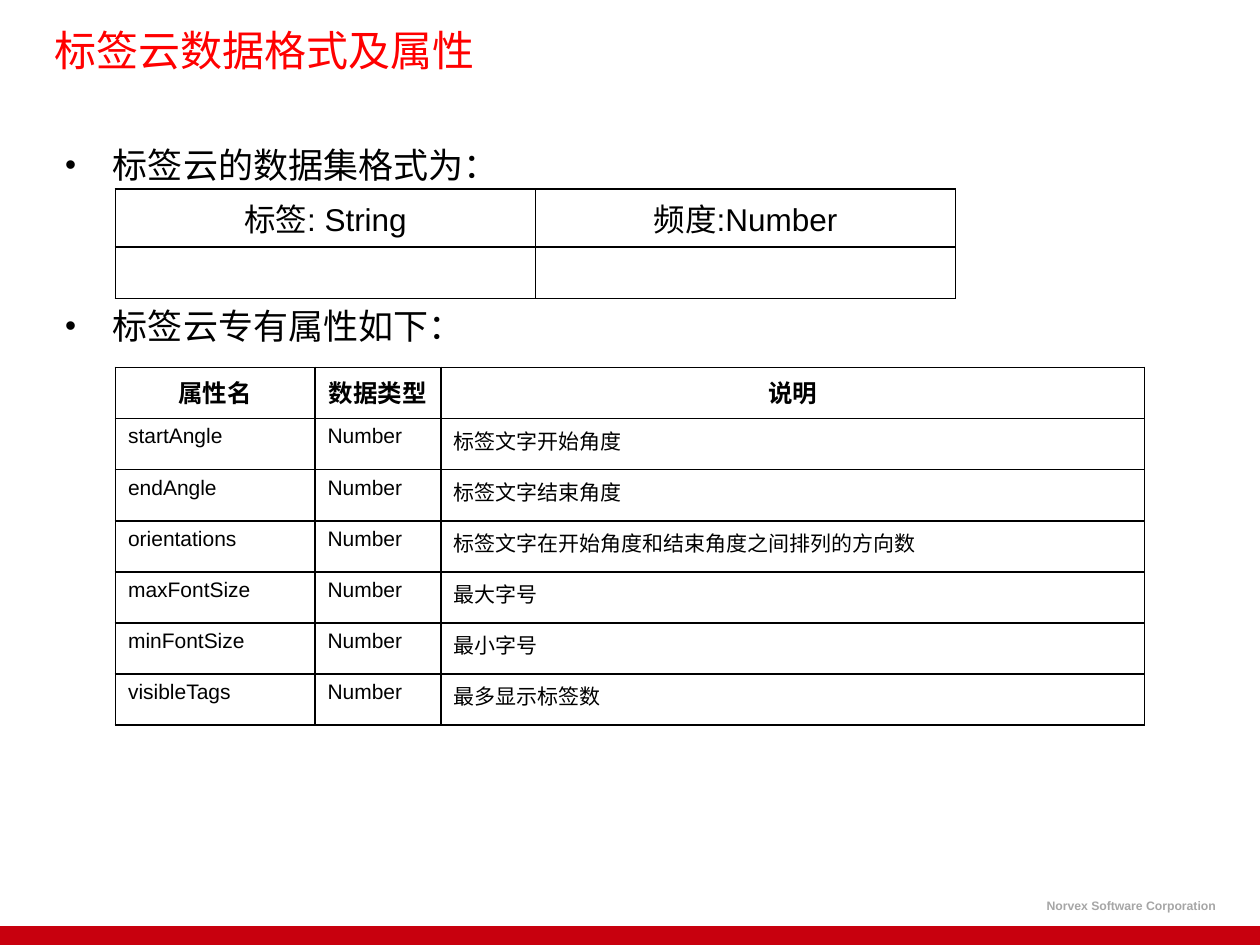
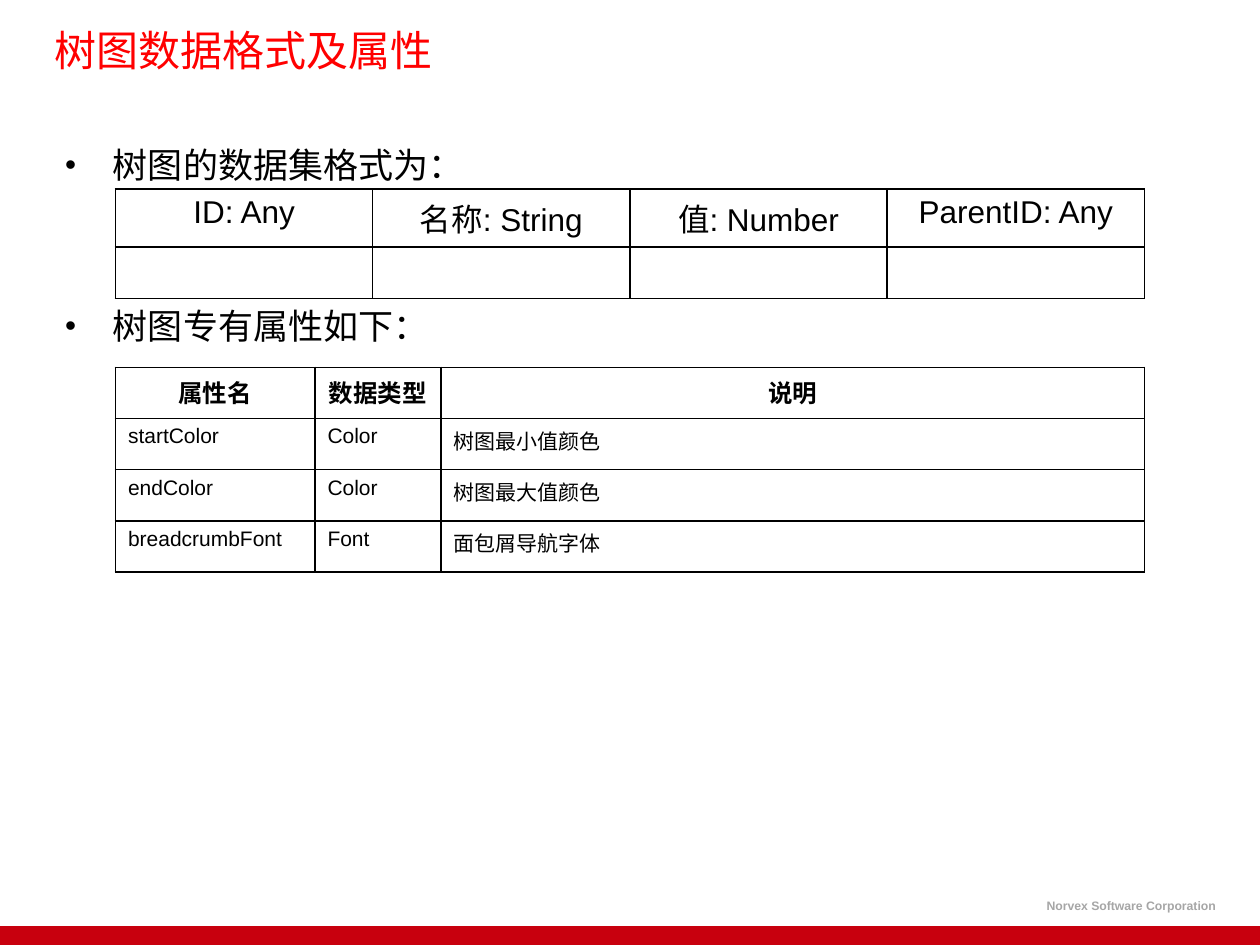
from lxml import etree
from pptx import Presentation
from pptx import util as u
from pptx.dml.color import RGBColor
from pptx.enum import shapes, text
from pptx.oxml import ns

RED = RGBColor(0xFF, 0x00, 0x00)
BAND_RED = RGBColor(0xC8, 0x00, 0x0E)
GREY = RGBColor(0xA6, 0xA6, 0xA6)
BLACK = RGBColor(0x00, 0x00, 0x00)
LATIN = "Arial"
CJK = "Noto Sans CJK SC"

COLUMNS, ROWS = 120, 90
CELL = u.Inches(10) / COLUMNS
TABLE_LEFT, TABLE_ROW = 11, 4.87
FIELD_TOP, PROPERTY_TOP = 18, 35
PROPERTY_COLUMNS = (19, 12, 67)
PROPERTY_HEADS = ("属性名", "数据类型", "说明")

SLIDES = [
    {
        "title": "标签云数据格式及属性",
        "points": ("标签云的数据集格式为：", "标签云专有属性如下："),
        "fields": ("标签: String", "频度:Number"),
        "field_width": 80,
        "properties": [
            ("startAngle", "Number", "标签文字开始角度"),
            ("endAngle", "Number", "标签文字结束角度"),
            ("orientations", "Number", "标签文字在开始角度和结束角度之间排列的方向数"),
            ("maxFontSize", "Number", "最大字号"),
            ("minFontSize", "Number", "最小字号"),
            ("visibleTags", "Number", "最多显示标签数"),
        ],
    },
    {
        "title": "树图数据格式及属性",
        "points": ("树图的数据集格式为：", "树图专有属性如下："),
        "fields": ("ID: Any", "名称: String", "值: Number", "ParentID: Any"),
        "field_width": 98,
        "properties": [
            ("startColor", "Color", "树图最小值颜色"),
            ("endColor", "Color", "树图最大值颜色"),
            ("breadcrumbFont", "Font", "面包屑导航字体"),
        ],
    },
]


def grid(*cells):
    return [u.Emu(round(cell * CELL)) for cell in cells]


def place(box, *cells):
    box.left, box.top, box.width, box.height = grid(*cells)


def add_span(para, words, size, color=BLACK, font=LATIN, bold=False):
    span = para.add_run()
    span.text = words
    span.font.size = u.Pt(size)
    span.font.name = font
    span.font.bold = bold
    span.font.color.rgb = color
    east_asian = etree.SubElement(span.font._element, ns.qn("a:ea"))
    east_asian.set("typeface", CJK)


def add_bullet(para):
    props = para._p.get_or_add_pPr()
    indent = u.Inches(0.38)
    props.set("marL", str(indent))
    props.set("indent", str(-indent))
    etree.SubElement(props, ns.qn("a:buSzPct")).set("val", "90000")
    etree.SubElement(props, ns.qn("a:buFont")).set("typeface", LATIN)
    etree.SubElement(props, ns.qn("a:buChar")).set("char", "•")


def add_footer(page, layout):
    band = page.shapes.add_shape(
        shapes.MSO_SHAPE.RECTANGLE, *grid(0, 88.2, COLUMNS, ROWS - 88.2))
    band.shadow.inherit = False
    band.fill.solid()
    band.fill.fore_color.rgb = BAND_RED
    band.line.fill.background()

    company = page.shapes.add_textbox(*grid(98.5, 85, 19, 2.6))
    company.text_frame.word_wrap = False
    para = company.text_frame.paragraphs[0]
    add_span(para, "Norvex Software Corporation", 7, GREY, bold=True)

    for shape in (band, company):
        layout.shapes.element.append(shape.element)


def fill_title(page, words):
    title = page.shapes.title
    place(title, 4, 2, 97, 5.5)
    frame = title.text_frame
    frame.auto_size = text.MSO_AUTO_SIZE.NONE
    frame.vertical_anchor = text.MSO_ANCHOR.MIDDLE
    para = frame.paragraphs[0]
    para.alignment = text.PP_ALIGN.LEFT
    add_span(para, words, 24, RED, CJK)


def fill_points(page, points):
    body = page.placeholders[1]
    place(body, 5, 12, 111, 68)
    frame = body.text_frame
    frame.auto_size = text.MSO_AUTO_SIZE.NONE
    frame.margin_top = u.Inches(0.07)
    for index, words in enumerate(points):
        para = frame.add_paragraph() if index else frame.paragraphs[0]
        para.line_spacing = 1.2
        para.space_before = u.Pt(63.5 if index else 0)
        add_bullet(para)
        add_span(para, words, 20, font=CJK)


def outline(cell):
    props = cell._tc.get_or_add_tcPr()
    for side in ("lnL", "lnR", "lnT", "lnB"):
        line = etree.SubElement(props, ns.qn(f"a:{side}"), w=str(u.Pt(1)))
        fill = etree.SubElement(line, ns.qn("a:solidFill"))
        etree.SubElement(fill, ns.qn("a:srgbClr"), val=str(BLACK))
    cell.fill.background()


def add_table(page, top, widths, rows, head_size, head_bold=False):
    frame = page.shapes.add_table(
        len(rows), len(widths),
        *grid(TABLE_LEFT, top, sum(widths), TABLE_ROW * len(rows)))
    table = frame.table
    table.first_row = table.horz_banding = False
    for column, width in zip(table.columns, grid(*widths)):
        column.width = width
    for r, words_row in enumerate(rows):
        table.rows[r].height = grid(TABLE_ROW)[0]
        for c, words in enumerate(words_row):
            cell = table.cell(r, c)
            outline(cell)
            if not words:
                continue
            para = cell.text_frame.paragraphs[0]
            if r == 0:
                para.alignment = text.PP_ALIGN.CENTER
                add_span(para, words, head_size, bold=head_bold)
            else:
                add_span(para, words, 12)


def add_page(deck, layout, content):
    page = deck.slides.add_slide(layout)
    fill_title(page, content["title"])
    fill_points(page, content["points"])
    fields = content["fields"]
    widths = [content["field_width"] / len(fields)] * len(fields)
    add_table(page, FIELD_TOP, widths, [fields, [""] * len(fields)], 18)
    add_table(page, PROPERTY_TOP, PROPERTY_COLUMNS,
              [PROPERTY_HEADS, *content["properties"]], 14, head_bold=True)
    return page


def main():
    deck = Presentation()
    deck.slide_width, deck.slide_height = grid(COLUMNS, ROWS)
    layout = deck.slide_layouts[1]
    pages = [add_page(deck, layout, content) for content in SLIDES]
    add_footer(pages[0], layout)
    deck.save("out.pptx")


if __name__ == "__main__":
    main()
